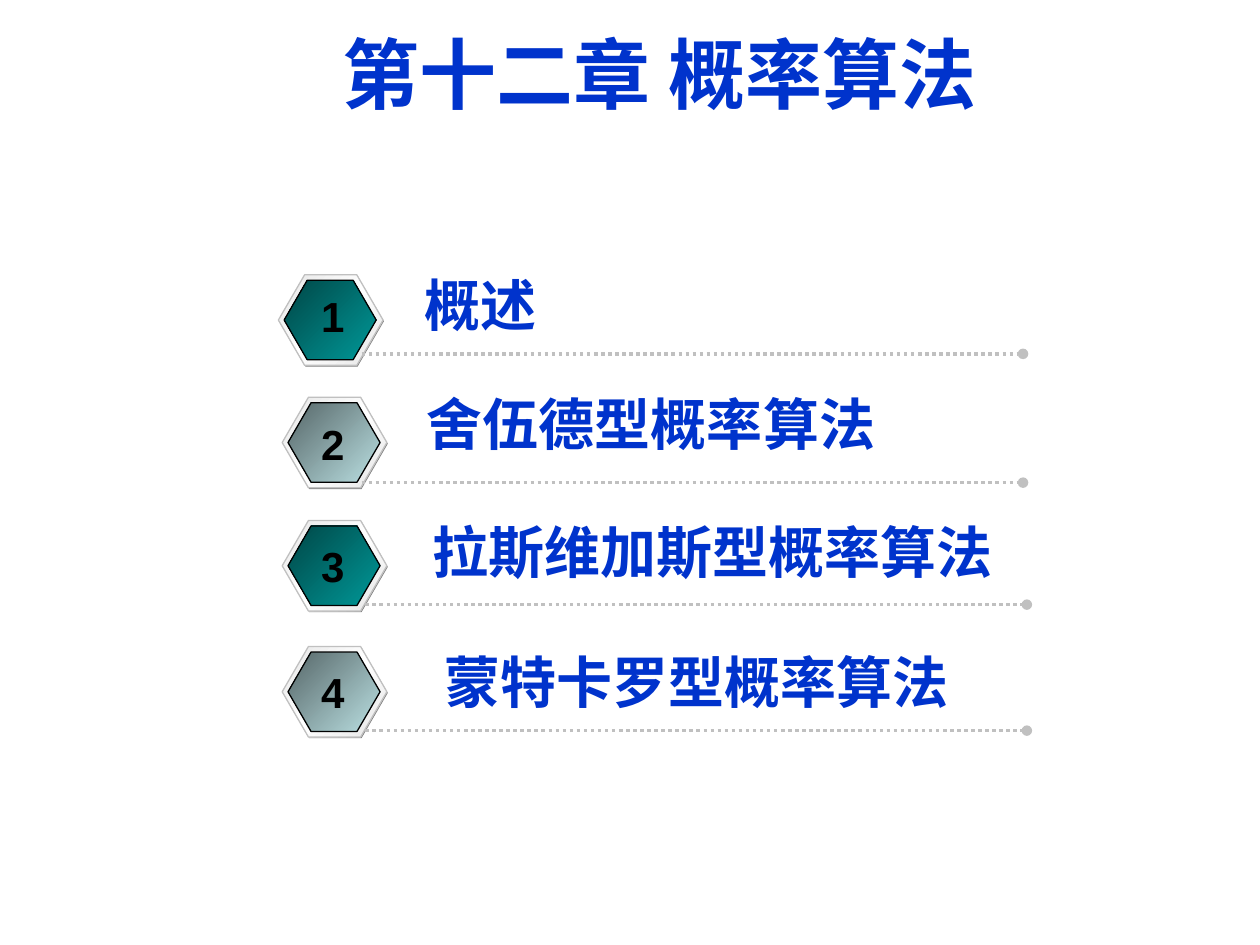
from copy import deepcopy
from dataclasses import dataclass

from lxml import etree
from pptx import Presentation
from pptx import util as u
from pptx.dml import color as col
from pptx.enum import dml, shapes, text
from pptx.oxml import ns

Pt = u.Pt
BLUE, BLACK, GRAY = "0033CC", "000000", "C0C0C0"
CJK = "Noto Sans CJK SC"
RING = ("E6E6E6", "FFFFFF", "E6E6E6")
TEAL = ("009999", "004646")
PALE = ("BBE0E3", "566768")


@dataclass
class Item:
    label: str
    face: tuple[str, ...]
    hex_x: float
    hex_y: float
    rule_x: float
    rule_y: float
    text_x: float
    text_y: float
    text_w: float


ITEMS = [
    Item("概述", TEAL, 159.1, 157, 206.6, 202.2, 235.4, 151.2, 317.5),
    Item("舍伍德型概率算法", PALE, 161.3, 227, 206.6, 275.8, 236.9, 218.9, 355.7),
    Item("拉斯维加斯型概率算法", TEAL, 161.3, 297.4, 208.8, 345.5, 239.8, 292.3, 352.8),
    Item("蒙特卡罗型概率算法", PALE, 161.3, 369.4, 208.8, 417.5, 247, 366.5, 317.5),
]


def rgb(code: str) -> col.RGBColor:
    return col.RGBColor.from_string(code)


def blend(shape, codes: tuple[str, ...]) -> None:
    """Fill with evenly spaced colours running to the upper left."""
    shape.fill.gradient()
    shape.fill.gradient_angle = 135
    stops = shape._element.spPr.find(".//" + ns.qn("a:gsLst"))
    while len(stops) < len(codes):
        stops.append(deepcopy(stops[0]))
    for i, (stop, code) in enumerate(zip(shape.fill.gradient_stops, codes)):
        stop.color.rgb = rgb(code)
        stop.position = i / (len(codes) - 1)


def add_hex(group, x: float, y: float, w: float, h: float,
            codes: tuple[str, ...], edge: str | None = None) -> None:
    shape = group.shapes.add_shape(
        shapes.MSO_SHAPE.HEXAGON, Pt(x), Pt(y), Pt(w), Pt(h))
    shape.shadow.inherit = False
    shape.adjustments[0] = 0.29
    if len(codes) > 1:
        blend(shape, codes)
    else:
        shape.fill.solid()
        shape.fill.fore_color.rgb = rgb(codes[0])
    if edge:
        shape.line.color.rgb = rgb(edge)
        shape.line.width = Pt(0.75)
    else:
        shape.line.fill.background()


def add_badge(slide, x: float, y: float, face: tuple[str, ...]) -> None:
    group = slide.shapes.add_group_shape()
    add_hex(group, x + 0.5, y + 0.7, 59.8, 51.8, ("808080",))
    add_hex(group, x, y, 59.8, 51.8, RING, GRAY)
    add_hex(group, x + 3.3, y + 3.2, 52.6, 45.4, face, BLACK)


def add_rule(slide, x: float, y: float) -> None:
    rule = slide.shapes.add_connector(
        shapes.MSO_CONNECTOR.STRAIGHT, Pt(x), Pt(y), Pt(x + 378), Pt(y))
    rule.line.color.rgb = rgb(GRAY)
    rule.line.width = Pt(2)
    rule.line.dash_style = dml.MSO_LINE.ROUND_DOT
    props = rule._element.spPr
    etree.SubElement(props.find(ns.qn("a:ln")), ns.qn("a:tailEnd"), type="oval")
    etree.SubElement(props, ns.qn("a:effectLst"))


def add_text(slide, words: str, x: float, y: float, w: float, h: float,
             size: float, code: str = BLUE, face: str = "Arial",
             pad: tuple[float, float] = (7.2, 3.6), wrap: bool = True,
             align=text.PP_ALIGN.LEFT) -> None:
    frame = slide.shapes.add_textbox(Pt(x), Pt(y), Pt(w), Pt(h)).text_frame
    frame.word_wrap = wrap
    frame.margin_left = frame.margin_right = Pt(pad[0])
    frame.margin_top = frame.margin_bottom = Pt(pad[1])
    para = frame.paragraphs[0]
    para.alignment = align
    run = para.add_run()
    run.text = words
    run.font.name = face
    run.font.size = Pt(size)
    run.font.bold = True
    run.font.color.rgb = rgb(code)
    etree.SubElement(run.font._element, ns.qn("a:ea"), typeface=CJK)


def main() -> None:
    deck = Presentation()
    deck.slide_width, deck.slide_height = Pt(720), Pt(540)
    slide = deck.slides.add_slide(deck.slide_layouts[6])

    # Chapter title
    add_text(slide, "第十二章 概率算法", 195.8, 15.1, 481.7, 52.6, 44,
             face=CJK, pad=(0, 0))

    # Numbered contents
    for num, item in enumerate(ITEMS, 1):
        add_badge(slide, item.hex_x, item.hex_y, item.face)
        add_rule(slide, item.rule_x, item.rule_y)
        add_text(slide, str(num), 176.4, item.rule_y - 40, 27.4, 36, 24,
                 BLACK, wrap=False, align=text.PP_ALIGN.CENTER)
        add_text(slide, item.label, item.text_x, item.text_y,
                 item.text_w, 46, 32)

    deck.save("out.pptx")


if __name__ == "__main__":
    main()
